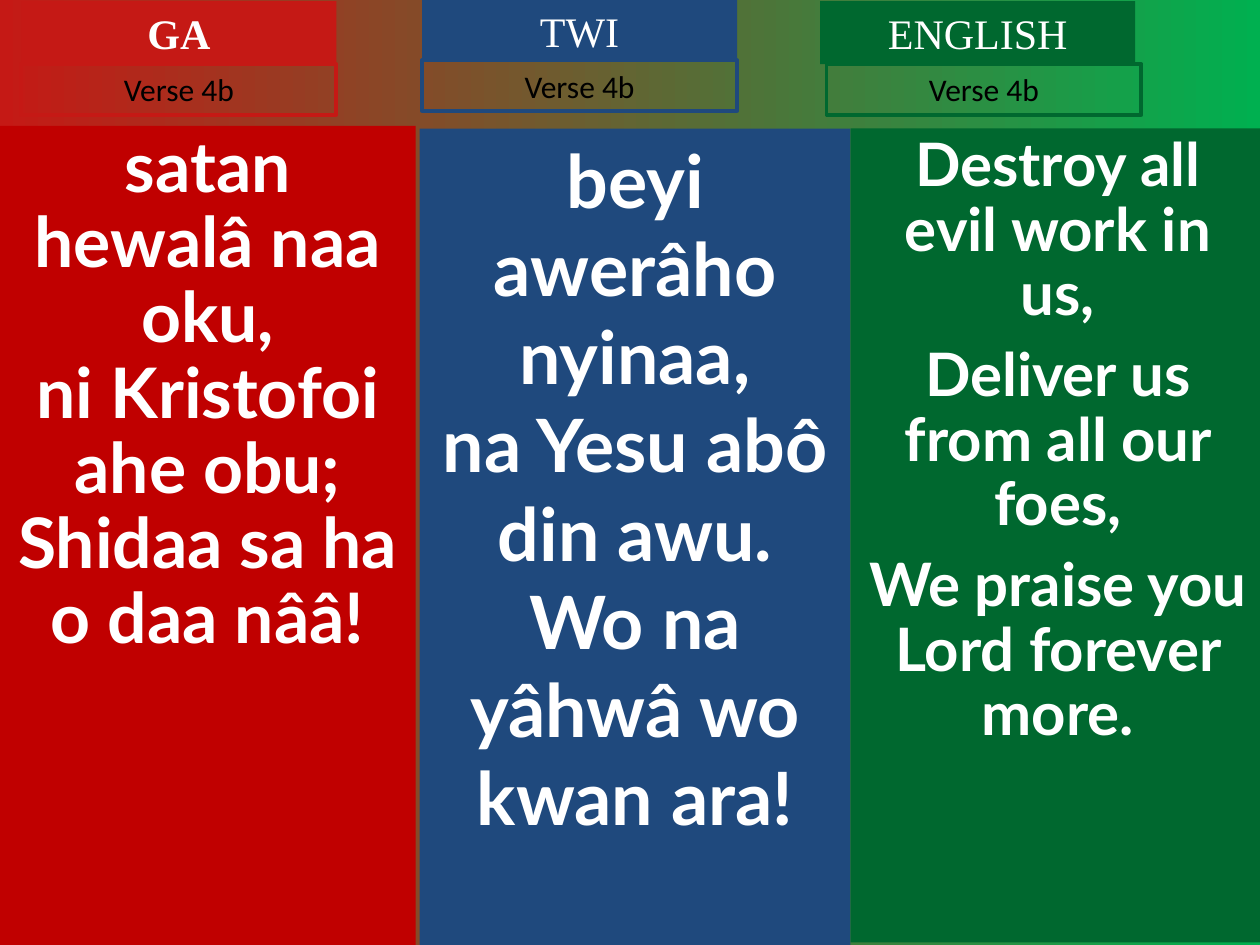
"""Build a hymn verse slide with Ga, Twi and English side by side."""
import pptx
import pptx.dml.color
import pptx.enum.shapes
import pptx.enum.text
import pptx.util

Inches = pptx.util.Inches
Pt = pptx.util.Pt

COLORS = {
    "ga_header": "C51915",
    "ga_verse": "C00000",
    "twi": "1F497D",
    "english": "00682F",
    "background_end": "00B050",
    "white": "FFFFFF",
    "black": "000000",
}


def rgb(name):
    return pptx.dml.color.RGBColor.from_string(COLORS[name])


def add_box(slide, place, lines, font, fill=None, outline=None, anchor="MIDDLE", spacing=1.0, gap=0):
    shape = slide.shapes.add_shape(
        pptx.enum.shapes.MSO_SHAPE.RECTANGLE, *[Inches(length) for length in place]
    )
    shape.shadow.inherit = False
    if fill:
        shape.fill.solid()
        shape.fill.fore_color.rgb = rgb(fill)
    else:
        shape.fill.background()
    if outline:
        shape.line.color.rgb = rgb(outline)
        shape.line.width = Pt(2.25)
    else:
        shape.line.fill.background()
    frame = shape.text_frame
    frame.word_wrap = True
    frame.vertical_anchor = pptx.enum.text.MSO_ANCHOR[anchor]
    for index, line in enumerate(lines):
        paragraph = frame.paragraphs[0] if index == 0 else frame.add_paragraph()
        paragraph.text = line
        paragraph.alignment = pptx.enum.text.PP_ALIGN.CENTER
        paragraph.line_spacing = spacing
        paragraph.space_before = Pt(gap if index else 0)
        for attribute, value in font.items():
            if attribute == "color":
                paragraph.font.color.rgb = rgb(value)
            else:
                setattr(paragraph.font, attribute, value)


presentation = pptx.Presentation()
presentation.slide_width = Inches(10)
presentation.slide_height = Inches(7.5)
slide = presentation.slides.add_slide(presentation.slide_layouts[6])

background = slide.background.fill
background.gradient()
background.gradient_angle = 0
for stop, (position, color) in zip(
    background.gradient_stops, [(0, "ga_header"), (1, "background_end")]
):
    stop.position = position
    stop.color.rgb = rgb(color)

languages = [
    {
        "name": "GA", "bold": True, "header_color": "ga_header", "verse_color": "ga_verse",
        "header": (0.17, 0.01), "label": (0.17, 0.51), "verse": (0, 1, 3.3, 6.5),
        "size": 39.8, "spacing": 0.9, "gap": 0,
        "lines": ["satan hewalâ naa oku,", "ni Kristofoi ahe obu;", "Shidaa sa ha o daa nââ!"],
    },
    {
        "name": "TWI", "bold": False, "header_color": "twi", "verse_color": "twi",
        "header": (3.35, -0.01), "label": (3.35, 0.48), "verse": (3.33, 1.02, 3.42, 6.48),
        "size": 42, "spacing": 1.0, "gap": 0,
        "lines": ["beyi awerâho nyinaa,", "na Yesu abô din awu.", "Wo na yâhwâ wo kwan ara!"],
    },
    {
        "name": "ENGLISH", "bold": False, "header_color": "english", "verse_color": "english",
        "header": (6.51, 0.01), "label": (6.56, 0.51), "verse": (6.75, 1.02, 3.29, 6.46),
        "size": 34.2, "spacing": 0.9, "gap": 9.2,
        "lines": [
            "Destroy all evil work in us,",
            "Deliver us from all our foes,",
            "We praise you Lord forever more.",
        ],
    },
]

for language in languages:
    verse_font = {"name": "Lato", "size": Pt(language["size"]), "bold": True, "color": "white"}
    header_font = {
        "name": "Times New Roman", "size": Pt(24), "bold": language["bold"], "color": "white",
    }
    label_font = {"name": "Calibri", "size": Pt(18), "bold": False, "color": "black"}
    add_box(
        slide, language["verse"], language["lines"], verse_font, fill=language["verse_color"],
        anchor="TOP", spacing=language["spacing"], gap=language["gap"],
    )
    add_box(
        slide, (*language["header"], 2.5, 0.5), [language["name"]], header_font,
        fill=language["header_color"],
    )
    add_box(
        slide, (*language["label"], 2.5, 0.4), ["Verse 4b"], label_font,
        outline=language["header_color"],
    )

presentation.save("out.pptx")
